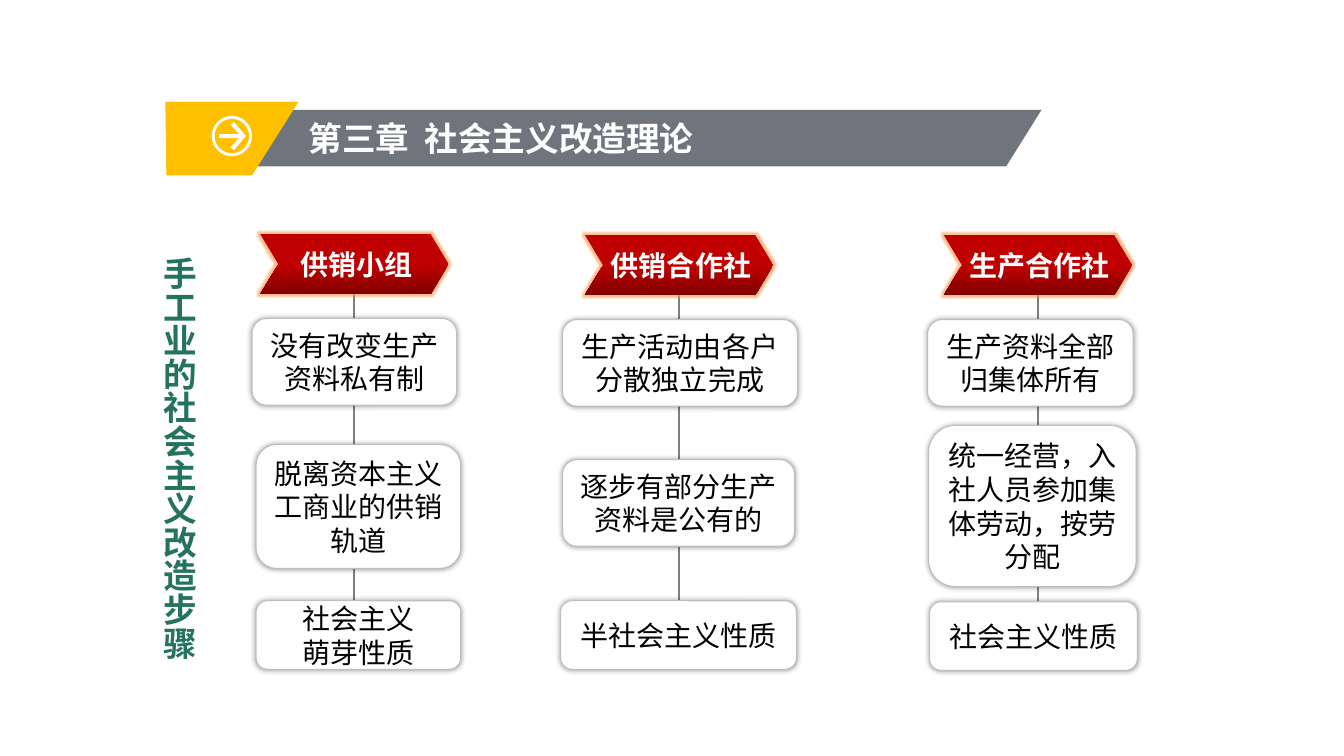
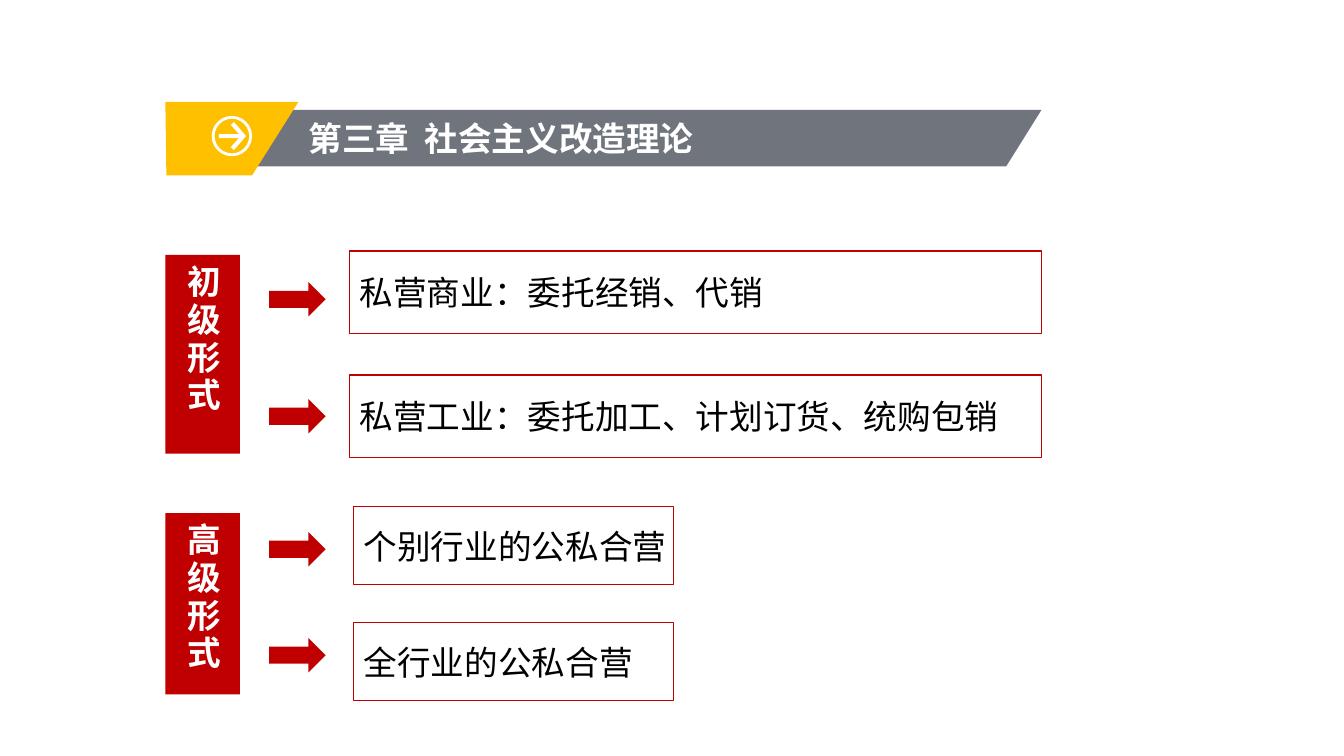
from lxml import etree
from pptx import Presentation
from pptx import util as u
from pptx.dml.color import RGBColor
from pptx.enum import shapes, text
from pptx.oxml.ns import qn

COLORS = {
    "white": "FFFFFF", "black": "000000", "band": "70757D", "tab": "FFC000",
    "red": "C00000", "dark_red": "800000", "line": "7F7F7F", "border": "BFBFBF",
    "green": "23735D", "glow": "F79646",
}
CELL = u.Inches(0.1)
CHAPTER = "第三章  社会主义改造理论"
CJK = "Noto Sans CJK SC"
SHAPE = shapes.MSO_SHAPE
LEFT, CENTER = text.PP_ALIGN.LEFT, text.PP_ALIGN.CENTER


def cells(*values):
    return [round(v * CELL) for v in values]


def rgb(name):
    return RGBColor.from_string(COLORS[name])


class Deck:
    def __init__(self):
        self.prs = Presentation()
        self.prs.slide_width, self.prs.slide_height = cells(133.3, 75)
        self.s = None

    def new_slide(self):
        self.s = self.prs.slides.add_slide(self.prs.slide_layouts[5])
        self.outline([(17.2, 10.9), (103.3, 10.9), (99.8, 16.5), (17.2, 16.5)], "band")
        self.outline([(16.4, 10.1), (29.6, 10.1), (25, 17.4), (16.5, 17.4)], "tab")
        self.title(CHAPTER)
        ring = self.shape(SHAPE.DONUT, (21, 11.5, 4, 4), "white")
        ring.adjustments[0] = 0.07
        self.outline([(23.2, 14.9), (22.9, 14.6), (23.7, 13.7), (21.7, 13.7), (21.7, 13.3),
                      (23.7, 13.3), (22.9, 12.4), (23.2, 12.1), (24.4, 13.5)], "white")

    def title(self, words):
        sp = self.s.shapes.title
        sp.left, sp.top, sp.width, sp.height = cells(29.6, 11.2, 40.8, 5)
        self.s.shapes._spTree.append(sp._element)
        self.label(sp, words, 24, "white", bold=True, align=LEFT, font=CJK, wrap=False)

    def paint(self, sp, fill, line=None):
        sp.shadow.inherit = False
        if fill:
            sp.fill.solid()
            sp.fill.fore_color.rgb = rgb(fill)
        if line:
            sp.line.color.rgb = rgb(line)
            sp.line.width = u.Pt(0.75)
        else:
            sp.line.fill.background()

    def outline(self, points, fill):
        start, *rest = [cells(*point) for point in points]
        builder = self.s.shapes.build_freeform(*start)
        builder.add_line_segments(rest, close=True)
        self.paint(builder.convert_to_shape(), fill)

    def shape(self, kind, box, fill, line=None):
        sp = self.s.shapes.add_shape(kind, *cells(*box))
        self.paint(sp, fill, line)
        return sp

    def label(self, sp, words, size, color, bold=False, align=CENTER, font="Arial",
              wrap=True, vertical=False, spacing=0):
        tf = sp.text_frame
        tf.text = words
        tf.word_wrap = wrap
        tf.auto_size = text.MSO_AUTO_SIZE.NONE
        tf.vertical_anchor = text.MSO_ANCHOR.MIDDLE
        if vertical:
            tf._txBody.bodyPr.set("vert", "eaVert")
        for p in tf.paragraphs:
            p.alignment = align
            p.font.name = font
            p.font.size = u.Pt(size)
            p.font.bold = bold
            p.font.color.rgb = rgb(color)
            etree.SubElement(p.font._rPr, qn("a:ea"), typeface=CJK)
            if spacing:
                p.font._rPr.set("spc", str(spacing * 100))

    def halo(self, sp, kind, color, alpha, **size):
        effects = sp._element.spPr.find(qn("a:effectLst"))
        effect = etree.SubElement(effects, qn(f"a:{kind}"), **size)
        tint = etree.SubElement(effect, qn("a:srgbClr"), val=COLORS[color])
        etree.SubElement(tint, qn("a:alpha"), val=str(alpha * 1000))

    def stem(self, x, top, bottom):
        c = self.s.shapes.add_connector(shapes.MSO_CONNECTOR.STRAIGHT,
                                        *cells(x, top, x, bottom))
        c.line.color.rgb = rgb("line")
        c.line.width = u.Pt(1.5)
        etree.SubElement(c._element.spPr, qn("a:effectLst"))

    def chevron(self, left, top, words):
        sp = self.shape(SHAPE.CHEVRON, (left, top, 18.7, 6), None)
        sp.adjustments[0] = 0.3
        sp.fill.gradient()
        sp.fill.gradient_angle = 270
        for stop, position, color in zip(sp.fill.gradient_stops, (0.51, 1), ("red", "dark_red")):
            stop.position = position
            stop.color.rgb = rgb(color)
        self.halo(sp, "glow", "glow", 60, rad="38100")
        self.label(sp, words, 20, "white", bold=True)
        sp.text_frame.margin_left, sp.text_frame.margin_right = u.Inches(0.04), 0

    def card(self, box, words):
        sp = self.shape(SHAPE.ROUNDED_RECTANGLE, box, "white", "border")
        self.halo(sp, "outerShdw", "black", 40, blurRad="50800", dist="0", algn="ctr")
        self.label(sp, words, 20, "black")

    def side_label(self, box, words):
        sp = self.s.shapes.add_textbox(*cells(*box))
        self.label(sp, words, 24, "green", bold=True, align=LEFT, vertical=True)

    def stage(self, box, words, align):
        sp = self.shape(SHAPE.RECTANGLE, box, "red")
        self.label(sp, words, 24, "white", bold=True, align=align, vertical=True, spacing=3)

    def form(self, box, words, arrow_top):
        self.shape(SHAPE.RIGHT_ARROW, (26.7, arrow_top, 5.6, 3.4), "red")
        sp = self.shape(SHAPE.RECTANGLE, box, "white", "red")
        self.label(sp, words, 24, "black", align=LEFT, wrap=False)


STEPS = [
    (25.8, 23.2, "供销小组", [
        ((25, 31.6, 20.3, 8.6), "没有改变生产资料私有制"),
        ((25.4, 44.1, 20.3, 12.3), "脱离资本主义工商业的供销轨道"),
        ((25.4, 59.6, 20.3, 6.8), "社会主义\n萌芽性质")]),
    (58, 23.3, "供销合作社", [
        ((55.8, 31.7, 23.3, 8.6), "生产活动由各户分散独立完成"),
        ((55.8, 45.6, 23, 8.6), "逐步有部分生产资料是公有的"),
        ((55.6, 59.6, 23.4, 6.8), "半社会主义性质")]),
    (93.6, 23.3, "生产合作社", [
        ((92, 31.7, 20.4, 8.6), "生产资料全部归集体所有"),
        ((92.1, 42.2, 20.6, 16), "统一经营，入社人员参加集体劳动，按劳分配"),
        ((92.2, 59.7, 20.6, 6.8), "社会主义性质")]),
]
STAGES = [
    ((16.4, 25.3, 7.4, 19.7), "初级形式", LEFT, [
        ((34.7, 24.9, 68.6, 8.2), "私营商业：委托经销、代销", 28),
        ((34.7, 37.2, 68.6, 8.2), "私营工业：委托加工、计划订货、统购包销", 39.6)]),
    ((16.4, 50.9, 7.4, 18), "高级形式", CENTER, [
        ((35.1, 50.3, 31.7, 7.7), "个别行业的公私合营", 52.8),
        ((35.1, 61.8, 31.7, 7.7), "全行业的公私合营", 63.3)]),
]


def main():
    deck = Deck()

    deck.new_slide()
    for left, top, heading, cards in STEPS:
        deck.stem(left + 18.7 / 2, top + 5, 62)
        deck.chevron(left, top, heading)
        for box, words in cards:
            deck.card(box, words)
    deck.side_label((14.7, 24.5, 6.1, 42.5), "手工业的社会主义改造步骤")

    deck.new_slide()
    for box, name, align, forms in STAGES:
        deck.stage(box, name, align)
        for form in forms:
            deck.form(*form)

    deck.prs.save("out.pptx")


if __name__ == "__main__":
    main()
